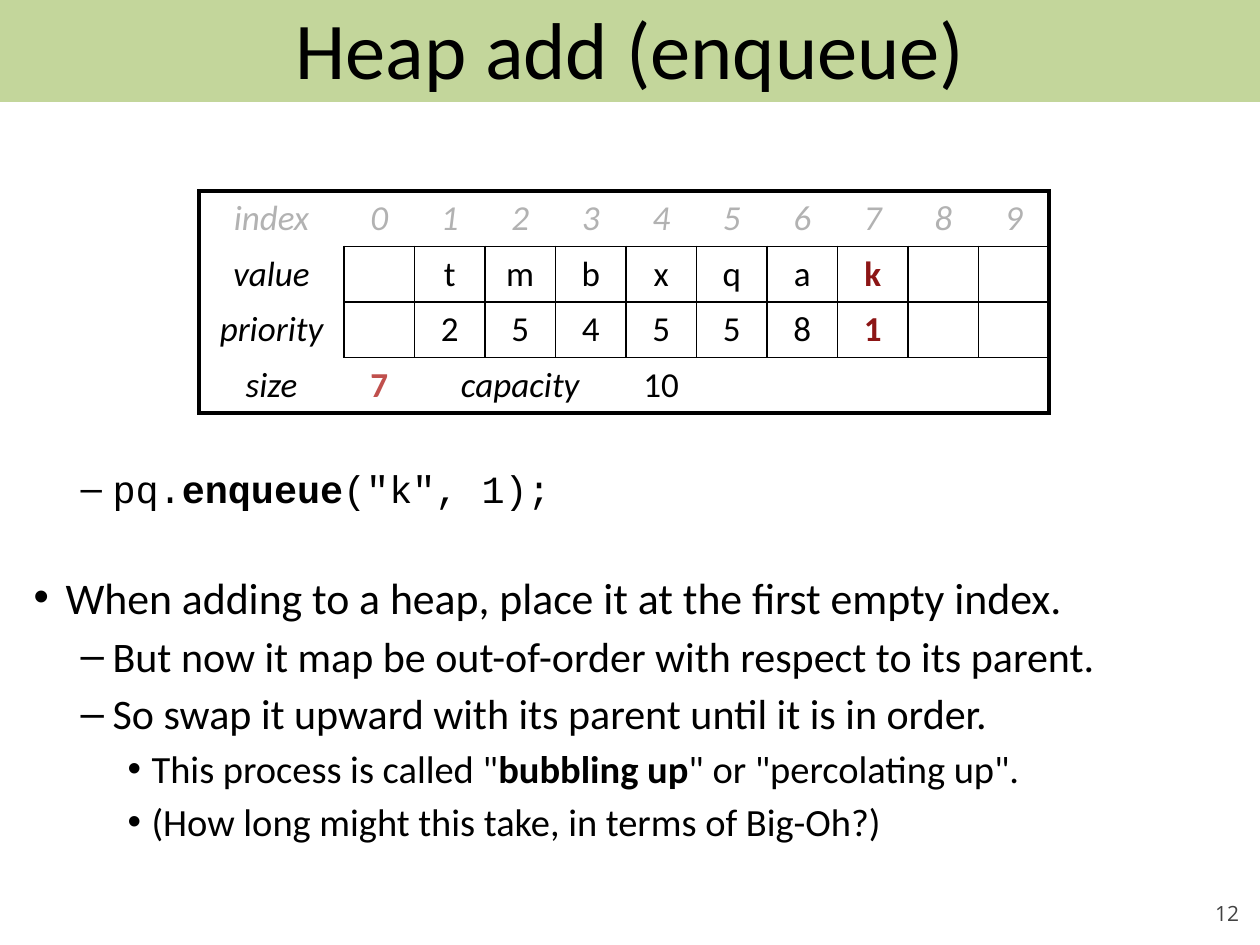
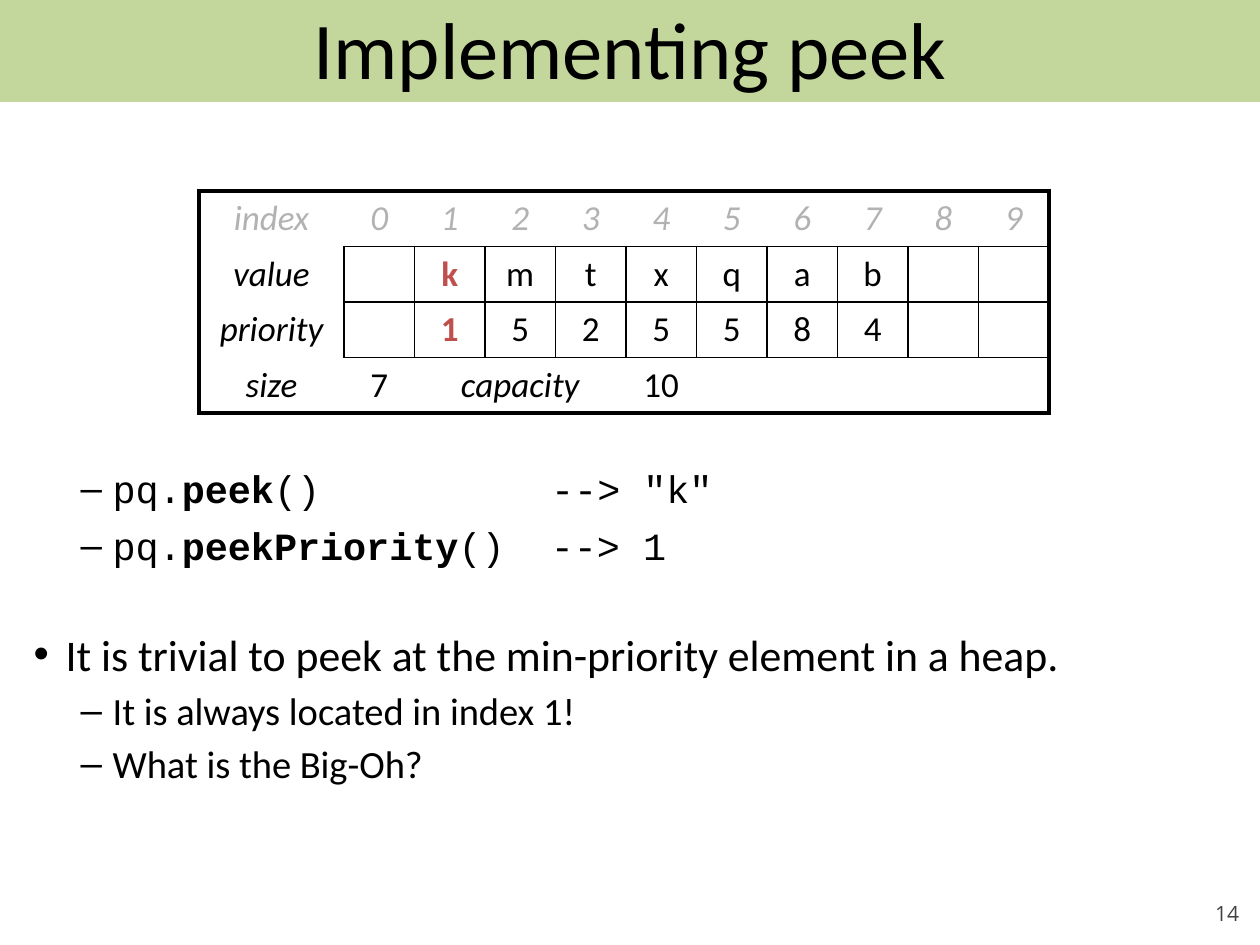
from lxml.etree import SubElement
from pptx import Presentation
from pptx.dml.color import RGBColor
from pptx.enum.shapes import MSO_SHAPE
from pptx.enum.text import MSO_ANCHOR, MSO_AUTO_SIZE, PP_ALIGN
from pptx.oxml.ns import qn
from pptx.util import Emu, Pt

COLOURS = {"band": "C3D69B", "text": "000000", "index": "B2B2B2",
           "number": "424242", "new": "8C1515", "changed": "C0504D"}

# Table rows start with their label; an accent maps (row, column) to a colour.
# Bullets are (kind, runs); a run between asterisks is bold.
# Code lines are (call, result); the results line up in one column.
SLIDES = [
    {"title": "Heap add (enqueue)", "number": "12",
     "values": "tmbxqak", "priorities": "2545581",
     "accents": {(1, 8): "new", (2, 8): "new", (3, 1): "changed"},
     "bullets": [
         ("code", 'pq.*enqueue*("k", 1);', ""),
         ("point", "When adding to a heap, place it at the first empty index."),
         ("large detail", "But now it map be out-of-order with respect to its parent."),
         ("large detail", "So swap it upward with its parent until it is in order."),
         ("note", 'This process is called "*bubbling up*" or "percolating up".'),
         ("note", "(How long might this take, in terms of Big-Oh?)")]},
    {"title": "Implementing peek", "number": "14",
     "values": "kmtxqab", "priorities": "1525584",
     "accents": {(1, 2): "changed", (2, 2): "changed"},
     "bullets": [
         ("code", "pq.*peek*()", '--> "k"'),
         ("code", "pq.*peekPriority*()", "--> 1"),
         ("point", "It is trivial to peek at the min-priority element in a heap."),
         ("detail", "It is always located in index 1!"),
         ("detail", "What is the Big-Oh?")]},
]

# kind: level, size, font, space before in points
BULLET_STYLES = {
    "code": (1, 22, "Courier New", 6),
    "point": (0, 25, "Calibri", 34),
    "large detail": (1, 24, "Calibri", 4),
    "detail": (1, 22, "Calibri", 4),
    "note": (2, 22, "Calibri", 4),
}
INDENTS = [(32, 32), (79, 32), (118, 24)]  # text start and hanging part by level
RESULT_COLUMN = 19                         # characters before a result
CODE_CHAR = 0.6                            # character width over font size

BAND = (0, 0, 1260, 102)
TITLE = (63, 0, 1134, 94)
BODY = (21, 179, 1218, 714)
BODY_TOP_MARGIN = 286
NUMBER = (1134, 876, 105, 50)
TABLE = (199, 191, 850, 222)
LABEL_WIDTH = 145
CAPACITY = 10
ROWS, COLUMNS = 4, CAPACITY + 1
THICK, THIN = 2.25, 1


def px(length):
    """Turn picture pixels into EMU."""
    return Emu(round(length * 914400 / 126))


def box(area):
    """Turn a left, top, width, height area into EMU."""
    return [px(length) for length in area]


def place(part, area):
    """Move and size a placeholder."""
    for side, length in zip(("left", "top", "width", "height"), box(area)):
        setattr(part, side, length)


def write(paragraph, text, size, font="Calibri", colour="text", **styles):
    """Add a formatted run to a paragraph."""
    run = paragraph.add_run()
    run.text = text
    for attribute, value in {"size": Pt(size), "name": font, **styles}.items():
        setattr(run.font, attribute, value)
    run.font.color.rgb = RGBColor.from_string(COLOURS[colour])
    return run


def add_band(slide, layout):
    """Draw the title band and hand it to the layout, behind everything."""
    band = slide.shapes.add_shape(MSO_SHAPE.ROUNDED_RECTANGLE, *box(BAND))
    band.adjustments[0] = 0.001
    band.shadow.inherit = False
    band.fill.solid()
    band.fill.fore_color.rgb = RGBColor.from_string(COLOURS["band"])
    band.line.fill.background()
    layout.shapes._spTree.insert(2, band._element)


def add_title(slide, text):
    """Fill the title placeholder."""
    title = slide.shapes.title
    place(title, TITLE)
    frame = title.text_frame
    frame.auto_size = MSO_AUTO_SIZE.NONE
    frame.vertical_anchor = MSO_ANCHOR.MIDDLE
    frame.paragraphs[0].alignment = PP_ALIGN.CENTER
    write(frame.paragraphs[0], text, 46)


def add_bullets(slide, bullets):
    """Fill the body placeholder below the table."""
    body = slide.placeholders[1]
    place(body, BODY)
    frame = body.text_frame
    frame.auto_size = MSO_AUTO_SIZE.NONE
    frame.margin_top = px(BODY_TOP_MARGIN)
    for order, (kind, text, *result) in enumerate(bullets):
        level, size, font, space = BULLET_STYLES[kind]
        line = frame.add_paragraph() if order else frame.paragraphs[0]
        line.level = level
        line.space_before = Pt(space if order else 0)
        start, hanging = INDENTS[level]
        properties = line._p.get_or_add_pPr()
        properties.set("marL", str(px(start)))
        properties.set("indent", str(-px(hanging)))
        for part, words in enumerate(text.split("*")):
            write(line, words, size, font, bold=part % 2 == 1)
        if result and result[0]:
            missing = RESULT_COLUMN - len(text.replace("*", "")) - 1
            gap = write(line, " ", size, font)
            gap._r.get_or_add_rPr().set("spc", str(round(missing * size * CODE_CHAR * 100)))
            write(line, result[0], size, font)


def edge_width(boundary, last, inner):
    """Give the width of a cell edge: thick outside, thin or none inside."""
    return THICK if boundary in (0, last) else THIN if inner else 0


def set_borders(cell, row, column):
    """Rule the heap grid and the outer frame."""
    in_grid = row in (1, 2) and column > 0
    label_edge = row in (1, 2)
    widths = {
        "a:lnL": edge_width(column, COLUMNS, in_grid),
        "a:lnR": edge_width(column + 1, COLUMNS, label_edge),
        "a:lnT": edge_width(row, ROWS, column > 0),
        "a:lnB": edge_width(row + 1, ROWS, column > 0),
    }
    properties = cell._tc.get_or_add_tcPr()
    for tag, width in widths.items():
        line = SubElement(properties, qn(tag), w=str(Pt(width)))
        if width:
            fill = SubElement(line, qn("a:solidFill"))
            SubElement(fill, qn("a:srgbClr"), val=COLOURS["text"])
        else:
            SubElement(line, qn("a:noFill"))


def add_heap(slide, values, priorities, accents):
    """Draw the heap array as a table."""
    spare = [""] * (CAPACITY - 1 - len(values))
    rows = [
        ["index", *map(str, range(CAPACITY))],
        ["value", "", *values, *spare],
        ["priority", "", *priorities, *spare],
        ["size", str(len(values)), "capacity", "", "", str(CAPACITY)] + [""] * 5,
    ]
    heap = slide.shapes.add_table(ROWS, COLUMNS, *box(TABLE)).table
    heap.first_row = heap.horz_banding = False
    for order, column in enumerate(heap.columns):
        column.width = px((TABLE[2] - LABEL_WIDTH) / CAPACITY if order else LABEL_WIDTH)
    for row in heap.rows:
        row.height = px(TABLE[3] / ROWS)
    heap.cell(3, 2).merge(heap.cell(3, 4))
    for r, texts in enumerate(rows):
        for c, text in enumerate(texts):
            cell = heap.cell(r, c)
            set_borders(cell, r, c)
            cell.fill.background()
            line = cell.text_frame.paragraphs[0]
            line.alignment = PP_ALIGN.CENTER
            line.font.size = Pt(20)
            if text:
                colour = accents.get((r, c), "text" if r else "index")
                write(line, text, 20, colour=colour, bold=(r, c) in accents,
                      italic=r == 0 or c == 0 or text == "capacity")


def add_number(slide, number):
    """Write the page number in the lower right corner."""
    frame = slide.shapes.add_textbox(*box(NUMBER)).text_frame
    margins = dict.fromkeys(("margin_left", "margin_top", "margin_right", "margin_bottom"), 0)
    for attribute, value in {**margins, "word_wrap": True,
                             "vertical_anchor": MSO_ANCHOR.BOTTOM}.items():
        setattr(frame, attribute, value)
    frame.paragraphs[0].alignment = PP_ALIGN.RIGHT
    write(frame.paragraphs[0], number, 12, "Open Sans", "number")


deck = Presentation()
deck.slide_width, deck.slide_height = px(1260), px(945)
layout = deck.slide_layouts[1]
for order, content in enumerate(SLIDES):
    slide = deck.slides.add_slide(layout)
    if order == 0:
        add_band(slide, layout)
    add_title(slide, content["title"])
    add_bullets(slide, content["bullets"])
    add_heap(slide, content["values"], content["priorities"], content["accents"])
    add_number(slide, content["number"])
deck.save("out.pptx")
